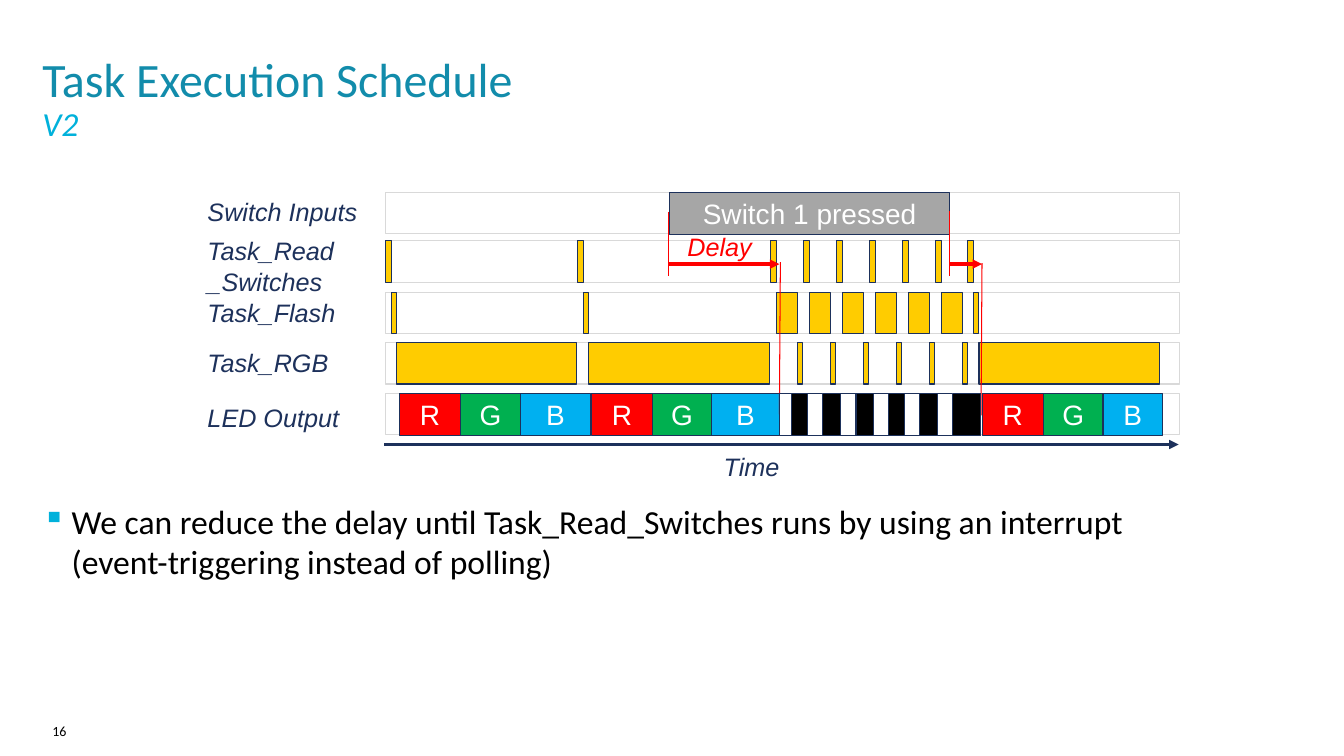
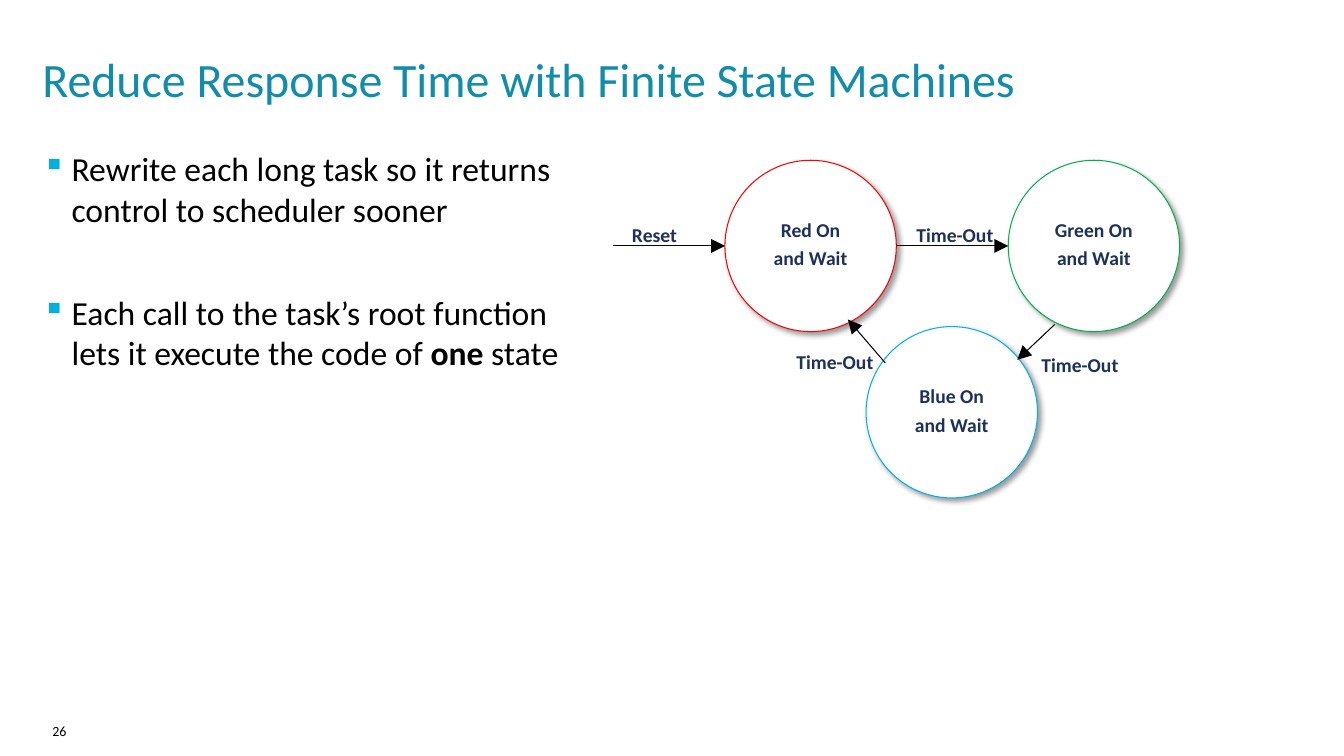
"""Build two slides on task scheduling and finite state machines."""
from lxml.etree import SubElement
from pptx import Presentation
from pptx.dml.color import RGBColor
from pptx.enum.shapes import MSO_CONNECTOR, MSO_SHAPE
from pptx.enum.text import MSO_ANCHOR, PP_ALIGN
from pptx.oxml.ns import qn
from pptx.util import Inches, Pt

NAVY, RED, GREEN, BLUE = "1D315B", "FF0000", "00B050", "00B0F0"
TEAL, CYAN, GOLD, GREY = "128CAB", "00B1DB", "FFCC00", "A6A6A6"
BLACK, WHITE, PALE = "000000", "FFFFFF", "D9D9D9"

SCHED = {
    "title": "Task Execution Schedule",
    "sub": "V2",
    "page": "16",
    "body": ["We can reduce the delay until Task_Read_Switches runs by using "
             "an interrupt\n(event-triggering instead of polling)"],
    "area": (0.42, 4.97, 12.68, 2.1),
}
STATES = {
    "title": "Reduce Response Time with Finite State Machines",
    "page": "26",
    "body": ["Rewrite each long task so it returns control to scheduler sooner",
             [("Each call to the task’s root function lets it execute the code of ", False),
              ("one", True), (" state", False)]],
    "area": (0.42, 1.47, 5.29, 5.67),
}

LEFT, SPAN, HIGH = 3.82, 7.88, 0.41
ROWS = [("Switch Inputs", 1.91, 1.9), ("Task_Read\n_Switches", 2.39, 2.29),
        ("Task_Flash", 2.9, 2.9), ("Task_RGB", 3.4, 3.4), ("LED Output", 3.9, 3.94)]
TOPS = [top for _, top, _ in ROWS]
TICK, IDLE, FLASH, LONG, BRIEF = 0.06, 0.05, 0.21, 1.79, 0.05
STEP = 0.327
CYCLES = [(3.82, IDLE, LONG), (5.73, IDLE, LONG)]
CYCLES += [(7.64 + STEP * i, FLASH, BRIEF) for i in range(6)]
CYCLES += [(9.6, IDLE, LONG)]
LEDS = [(3.96, 4.57, 5.16, 5.86), (5.87, 6.47, 7.06, 7.73), (9.74, 10.35, 10.94, 11.53)]
HUES = [("R", RED), ("G", GREEN), ("B", BLUE)]
BLINKS = [(7.73, 0.12)] + [(x, 0.15) for x in (8.01, 8.34, 8.66, 8.97, 9.3)]
MARKS = [(6.63, 2.1, 6.63, 2.74), (9.42, 2.09, 9.42, 2.74),
         (7.74, 2.6, 7.73, 4.11), (9.74, 2.61, 9.73, 4.12)]
DELAYS = [(6.63, 7.73), (9.42, 9.74)]

SIZE = 1.7
NODES = [("Green On", 10, 1.59, GREEN), ("Blue On", 8.59, 3.24, BLUE),
         ("Red On", 7.19, 1.59, RED)]
EDGES = [(6.08, 2.44, 7.19, 2.44), (8.89, 2.44, 10, 2.44),
         (10.46, 3.22, 10.09, 3.57), (8.78, 3.6, 8.41, 3.17)]
NOTES = [("Reset", 6.17, 2.16), ("Time-Out", 8.99, 2.16),
         ("Time-Out", 10.23, 3.45), ("Time-Out", 7.8, 3.42)]


def tint(code):
    """Turn a hex string into a colour."""
    return RGBColor.from_string(code)


def bullet(para):
    """Give a paragraph a hanging square bullet."""
    props = para._p.get_or_add_pPr()
    props.set("marL", str(Inches(0.29)))
    props.set("indent", str(-Inches(0.29)))
    hue = SubElement(props, qn("a:buClr"))
    SubElement(hue, qn("a:srgbClr"), val=CYAN)
    SubElement(props, qn("a:buSzPct"), val="95000")
    SubElement(props, qn("a:buChar"), char="▪")


def write(shape, paras, size=18, color=NAVY, font="Arial", bold=False, italic=False,
          align=PP_ALIGN.LEFT, anchor=MSO_ANCHOR.TOP, pads=None, mark=False,
          gap=0, lines=None):
    """Fill a shape with formatted paragraphs."""
    frame = shape.text_frame
    frame.word_wrap = True
    frame.vertical_anchor = anchor
    if pads:
        (frame.margin_left, frame.margin_top,
         frame.margin_right, frame.margin_bottom) = [Inches(n) for n in pads]
    for i, item in enumerate([paras] if isinstance(paras, str) else paras):
        para = frame.add_paragraph() if i else frame.paragraphs[0]
        para.alignment = align
        if lines:
            para.line_spacing = lines
        if i and gap:
            para.space_before = Pt(gap)
        if mark:
            bullet(para)
        for words, strong in [(item, bold)] if isinstance(item, str) else item:
            for j, piece in enumerate(words.split("\n")):
                if j:
                    para.add_line_break()
                run = para.add_run()
                run.text = piece
                face = run.font
                face.size, face.name = Pt(size), font
                face.bold, face.italic = strong, italic
                face.color.rgb = tint(color)


def label(slide, words, left, top, width, height, **form):
    """Add a text box."""
    area = [Inches(n) for n in (left, top, width, height)]
    write(slide.shapes.add_textbox(*area), words, **form)


def block(slide, left, top, width, height, fill=None, line=NAVY, kind=MSO_SHAPE.RECTANGLE):
    """Add an outlined shape."""
    area = [Inches(n) for n in (left, top, width, height)]
    shape = slide.shapes.add_shape(kind, *area)
    shape.shadow.inherit = False
    if fill:
        shape.fill.solid()
        shape.fill.fore_color.rgb = tint(fill)
    else:
        shape.fill.background()
    shape.line.color.rgb = tint(line)
    shape.line.width = Pt(0.75)
    return shape


def link(slide, ends, color, width=0.75, head=None):
    """Add a straight line, with an arrowhead of the given size."""
    line = slide.shapes.add_connector(MSO_CONNECTOR.STRAIGHT, *[Inches(n) for n in ends])
    line.line.color.rgb = tint(color)
    line.line.width = Pt(width)
    if head:
        SubElement(line.line._get_or_add_ln(), qn("a:tailEnd"),
                   type="triangle", w=head, len=head)
    SubElement(line._element.spPr, qn("a:effectLst"))


def shade(shape):
    """Give a shape a soft shadow to the lower right."""
    list_ = shape._element.spPr.find(qn("a:effectLst"))
    drop = SubElement(list_, qn("a:outerShdw"), blurRad=str(Pt(4)), dist=str(Pt(3)),
                      dir="2700000", algn="tl", rotWithShape="0")
    hue = SubElement(drop, qn("a:srgbClr"), val=BLACK)
    SubElement(hue, qn("a:alpha"), val="40000")


def start(deck, data):
    """Add a slide with its title, body and page number."""
    slide = deck.slides.add_slide(deck.slide_layouts[6])
    plain = {"font": "Calibri", "pads": (0, 0, 0, 0)}
    label(slide, data["page"], 0.52, 7.17, 1.43, 0.26, size=10, color=BLACK, **plain)
    label(slide, data["title"], 0.42, 0.49, 12.68, 0.47, size=34.2, color=TEAL, **plain)
    if "sub" in data:
        label(slide, data["sub"], 0.42, 1.02, 12.68, 0.31, size=24, color=CYAN,
              italic=True, **plain)
    label(slide, data["body"], *data["area"], size=24, color=BLACK, mark=True,
          gap=45, **plain)
    return slide


def chart(slide):
    """Draw the timing chart."""
    mid = {"size": 20, "color": WHITE, "align": PP_ALIGN.CENTER,
           "anchor": MSO_ANCHOR.MIDDLE, "pads": (0, 0, 0, 0)}
    for name, top, high in ROWS:
        block(slide, LEFT, top, SPAN, HIGH, line=PALE)
        label(slide, name, 1.96, high, 1.8, 0.4, italic=True)
    link(slide, (3.81, 4.41, 11.69, 4.41), NAVY, 2.25, "med")
    label(slide, "Time", 7.08, 4.43, 1, 0.4, italic=True)
    write(block(slide, 6.64, TOPS[0], 2.78, 0.42, GREY), "Switch 1 pressed", **mid)
    for left, flash, glow in CYCLES:
        for top, width in zip(TOPS[1:4], (TICK, flash, glow)):
            block(slide, left, top, width, HIGH, GOLD)
            left += width
    for stops in LEDS:
        for (name, hue), left, right in zip(HUES, stops, stops[1:]):
            write(block(slide, left, TOPS[4], right - left, 0.42, hue), name, **mid)
    label(slide, "Delay", 6.72, 2.25, 1.1, 0.4, color=RED, italic=True)
    for ends in MARKS:
        link(slide, ends, RED)
    for left, right in DELAYS:
        link(slide, (left, 2.62, right, 2.62), RED, 2.25, "med")
    block(slide, 7.73, TOPS[4], 2, 0.42, BLACK)
    for left, width in BLINKS:
        block(slide, left, TOPS[4], width, 0.42, WHITE)


def graph(slide):
    """Draw the state diagram."""
    form = {"size": 14, "font": "Calibri", "bold": True}
    for name, left, top, hue in NODES:
        node = block(slide, left, top, SIZE, SIZE, WHITE, hue, MSO_SHAPE.OVAL)
        shade(node)
        write(node, [name, "and Wait"], align=PP_ALIGN.CENTER, anchor=MSO_ANCHOR.MIDDLE,
              pads=(0, 0, 0, 0), lines=0.8, gap=7, **form)
    for ends in EDGES:
        link(slide, ends, BLACK, head="lg")
    for name, left, top in NOTES:
        label(slide, name, left, top, 1.1, 0.34, **form)


def main():
    """Build and save the deck."""
    deck = Presentation()
    deck.slide_width, deck.slide_height = Inches(13.33), Inches(7.5)
    chart(start(deck, SCHED))
    graph(start(deck, STATES))
    deck.save("out.pptx")


if __name__ == "__main__":
    main()
